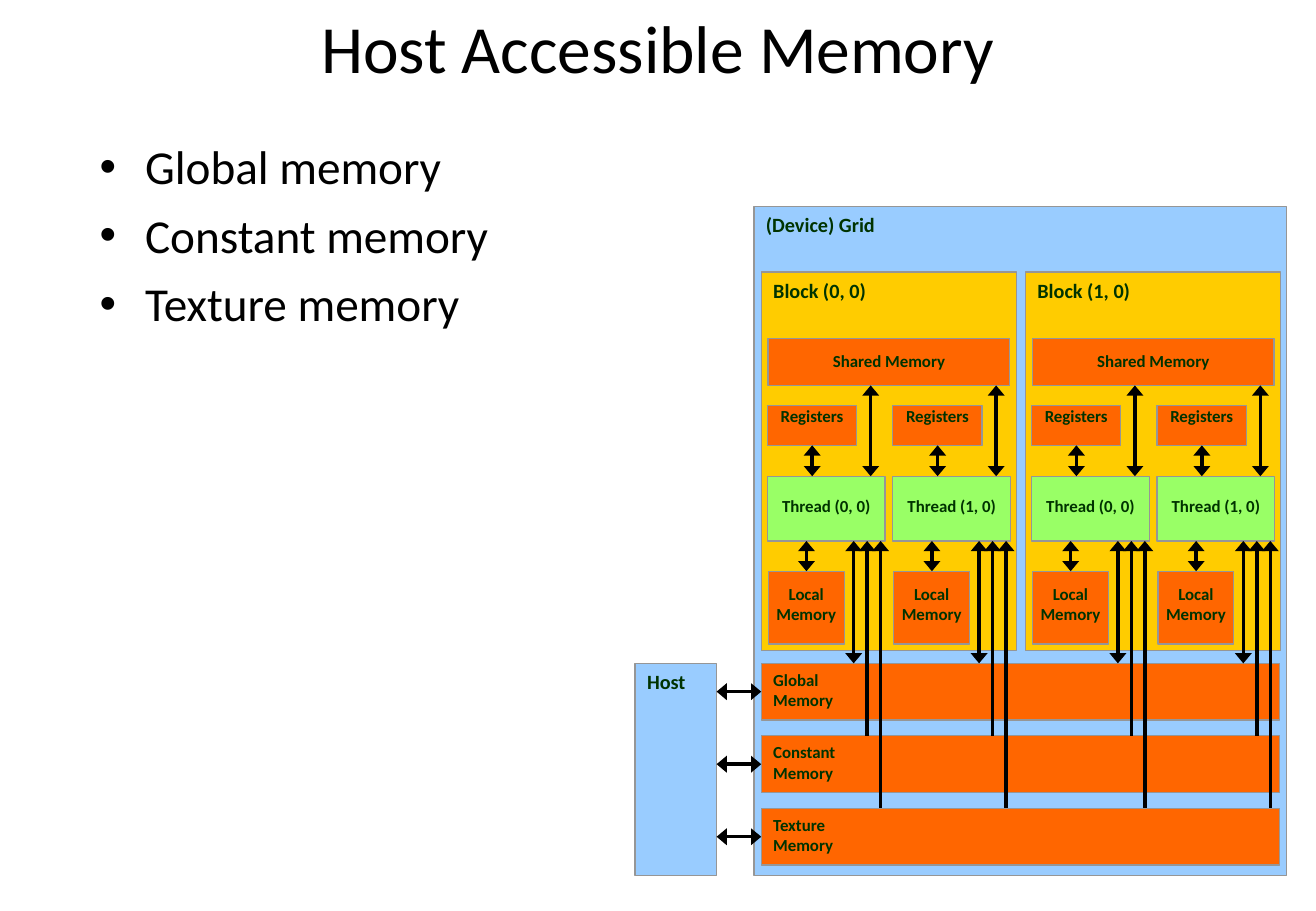
"""Builds the slide on the memory spaces that a host can access."""
from dataclasses import dataclass

from lxml import etree
from pptx import Presentation
from pptx.dml.color import RGBColor
from pptx.enum import shapes, text
from pptx.oxml import ns
from pptx.util import Pt

TITLE = "Host Accessible Memory"
BULLETS = ["Global memory", "Constant memory", "Texture memory"]
GRID, HOST = "(Device) Grid", "Host"
BLOCKS = ["Block (0, 0)", "Block (1, 0)"]
THREADS = ["Thread (0, 0)", "Thread (1, 0)"]
SHARED, REGISTERS, LOCAL = "Shared Memory", "Registers", "Local\nMemory"
DEVICE_MEMORIES = ["Global\nMemory", "Constant\nMemory", "Texture\nMemory"]


@dataclass(frozen=True)
class Theme:
    """Colours, font and type sizes of the slide."""
    font: str = "Calibri"
    ink: str = "000000"
    label: str = "003300"
    edge: str = "969696"
    device: str = "99CCFF"
    block: str = "FFCC00"
    memory: str = "FF6600"
    thread: str = "99FF66"
    title_size: int = 40
    bullet_size: int = 28
    heading_size: int = 12
    label_size: int = 10


THEME = Theme()
CORNER = (7.2, 3.6, 7.2, 3.6)
BAR_LEFT, BAR_TOP, BAR_WIDTH, BAR_HEIGHT, BAR_PITCH = 451.5, 393.2, 307.4, 33.6, 43
BLOCK_TOP, BLOCK_PITCH, THREAD_PITCH = 161.2, 156.7, 74.4
SHARED_TOP, SHARED_HEIGHT = 200.9, 27.6
REGISTERS_TOP, REGISTERS_HEIGHT = 240.6, 23.4
THREAD_TOP, THREAD_HEIGHT = 282.3, 38.4
LOCAL_TOP, LOCAL_HEIGHT = 338.6, 43.2
HOST_LEFT, HOST_WIDTH = 376.7, 48.3


def style(frame, size, colour, bold=False, align=None, insets=CORNER):
    frame.word_wrap = True
    frame.auto_size = text.MSO_AUTO_SIZE.NONE
    frame.vertical_anchor = text.MSO_ANCHOR.TOP
    (frame.margin_left, frame.margin_top,
     frame.margin_right, frame.margin_bottom) = map(Pt, insets)
    for paragraph in frame.paragraphs:
        paragraph.alignment = align
        for run in paragraph.runs:
            run.font.name, run.font.size, run.font.bold = THEME.font, Pt(size), bold
            run.font.color.rgb = RGBColor.from_string(colour)


def box(slide, words, place, fill, size=THEME.label_size, inset=None):
    """Draw a labelled box; a given inset centres the label that far from the top."""
    panel = slide.shapes.add_shape(shapes.MSO_SHAPE.RECTANGLE, *map(Pt, place))
    panel.shadow.inherit = False
    panel.fill.solid()
    panel.fill.fore_color.rgb = RGBColor.from_string(fill)
    panel.line.color.rgb = RGBColor.from_string(THEME.edge)
    panel.line.width = Pt(0.75)
    panel.text_frame.text = words
    centred = inset is not None
    style(panel.text_frame, size, THEME.label, True,
          text.PP_ALIGN.CENTER if centred else text.PP_ALIGN.LEFT,
          (0, inset, 0, 0) if centred else CORNER)


def arrow(slide, start, end, ends=("headEnd", "tailEnd")):
    link = slide.shapes.add_connector(
        shapes.MSO_CONNECTOR.STRAIGHT, *map(Pt, (*start, *end)))
    link.line.color.rgb = RGBColor.from_string(THEME.ink)
    link.line.width = Pt(2)
    outline = link.line._get_or_add_ln()
    for tip in ends:
        etree.SubElement(outline, ns.qn("a:" + tip), type="triangle", w="lg", len="med")
    etree.SubElement(link._element.spPr, ns.qn("a:effectLst"))


def add_bullets(slide):
    frame = slide.shapes.add_textbox(*map(Pt, (52, 78, 380, 405))).text_frame
    frame.text = "\n".join(BULLETS)
    style(frame, THEME.bullet_size, THEME.ink)
    for paragraph in frame.paragraphs:
        paragraph.space_before = Pt(7)
        props = paragraph._p.get_or_add_pPr()
        props.set("marL", str(Pt(27)))
        props.set("indent", str(Pt(-27)))
        etree.SubElement(props, ns.qn("a:buFont"), typeface="Arial")
        etree.SubElement(props, ns.qn("a:buChar"), char="•")


def add_thread(slide, name, left, bar_tops):
    thread_bottom = THREAD_TOP + THREAD_HEIGHT
    box(slide, LOCAL, (left + 0.6, LOCAL_TOP, 45, LOCAL_HEIGHT), THEME.memory, inset=7.2)
    box(slide, name, (left, THREAD_TOP, 69.8, THREAD_HEIGHT), THEME.thread, inset=11.5)
    box(slide, REGISTERS, (left, REGISTERS_TOP, 53, REGISTERS_HEIGHT),
        THEME.memory, inset=0)
    for offset, top, bottom in [
            (61.3, SHARED_TOP + SHARED_HEIGHT, THREAD_TOP),
            (26.6, REGISTERS_TOP + REGISTERS_HEIGHT, THREAD_TOP),
            (23.2, thread_bottom, LOCAL_TOP)]:
        arrow(slide, (left + offset, bottom), (left + offset, top))
    for index, bar_top in enumerate(bar_tops):
        x = left + 51.2 + 8 * index
        ends = ("headEnd",) if index else ("headEnd", "tailEnd")
        arrow(slide, (x, thread_bottom), (x, bar_top), ends)


def add_block(slide, name, left, bar_tops):
    box(slide, name, (left, BLOCK_TOP, 151.2, 224.6), THEME.block, THEME.heading_size)
    box(slide, SHARED, (left + 4, SHARED_TOP, 143.4, SHARED_HEIGHT),
        THEME.memory, inset=7.2)
    for index, thread in enumerate(THREADS):
        add_thread(slide, thread, left + 3.6 + THREAD_PITCH * index, bar_tops)


def main():
    deck = Presentation()
    deck.slide_width, deck.slide_height = Pt(780.48), Pt(540)
    slide = deck.slides.add_slide(deck.slide_layouts[5])

    title = slide.shapes.title
    title.left, title.top, title.width, title.height = map(Pt, (0, 0, 780, 66))
    title.text_frame.text = TITLE
    style(title.text_frame, THEME.title_size, THEME.ink, align=text.PP_ALIGN.CENTER)
    add_bullets(slide)

    bar_tops = [BAR_TOP + BAR_PITCH * index for index in range(len(DEVICE_MEMORIES))]
    box(slide, GRID, (447.2, 122.4, 316, 396.6), THEME.device, THEME.heading_size)
    for name, top in zip(DEVICE_MEMORIES, bar_tops):
        box(slide, name, (BAR_LEFT, top, BAR_WIDTH, BAR_HEIGHT), THEME.memory)
    for index, name in enumerate(BLOCKS):
        add_block(slide, name, BAR_LEFT + BLOCK_PITCH * index, bar_tops)

    box(slide, HOST, (HOST_LEFT, BAR_TOP, HOST_WIDTH, 126), THEME.device,
        THEME.heading_size)
    for top in bar_tops:
        middle = top + BAR_HEIGHT / 2
        arrow(slide, (HOST_LEFT + HOST_WIDTH, middle), (BAR_LEFT, middle))
    deck.save("out.pptx")


if __name__ == "__main__":
    main()
